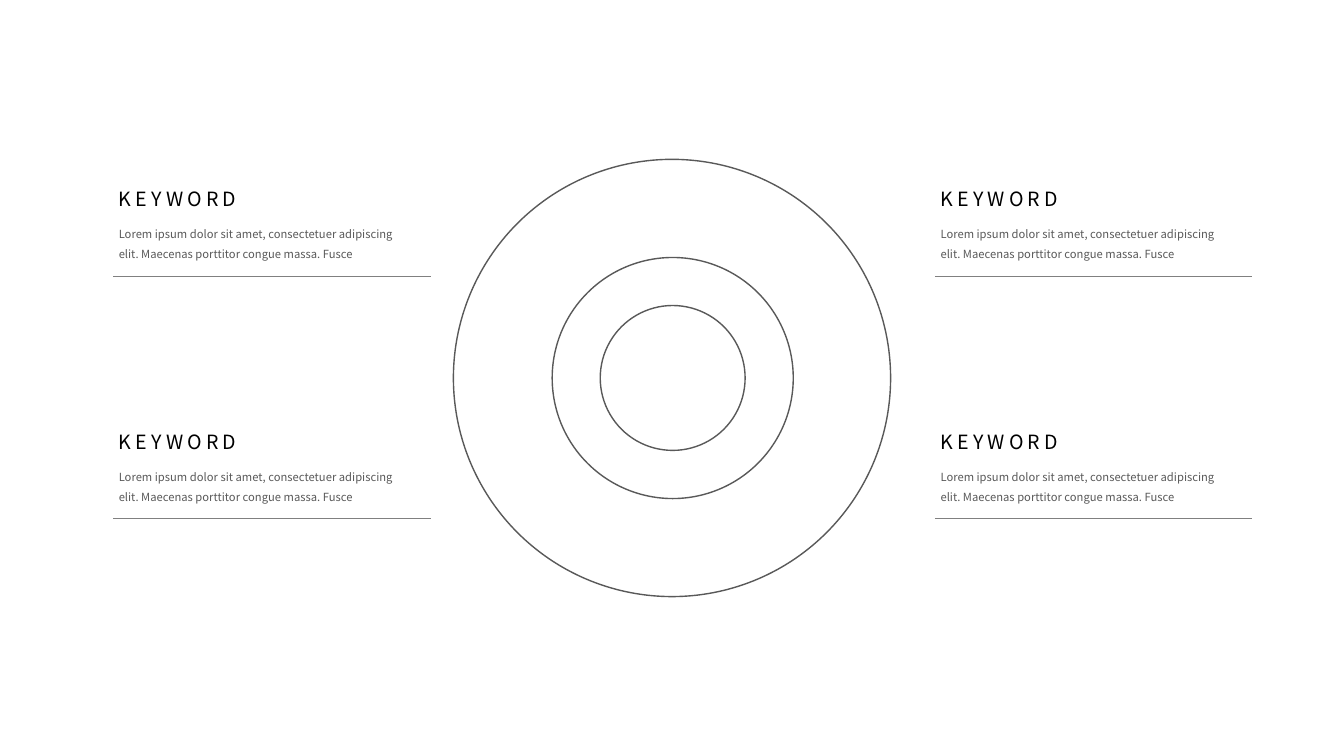
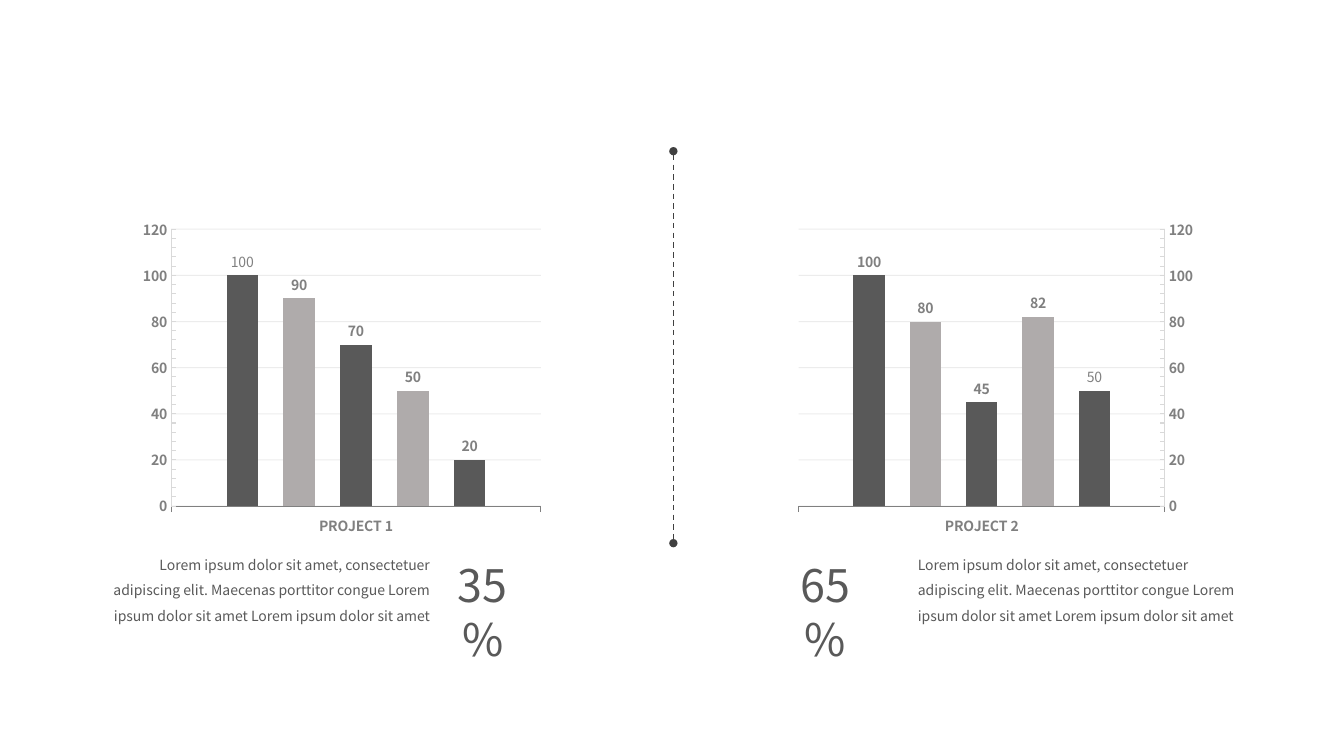
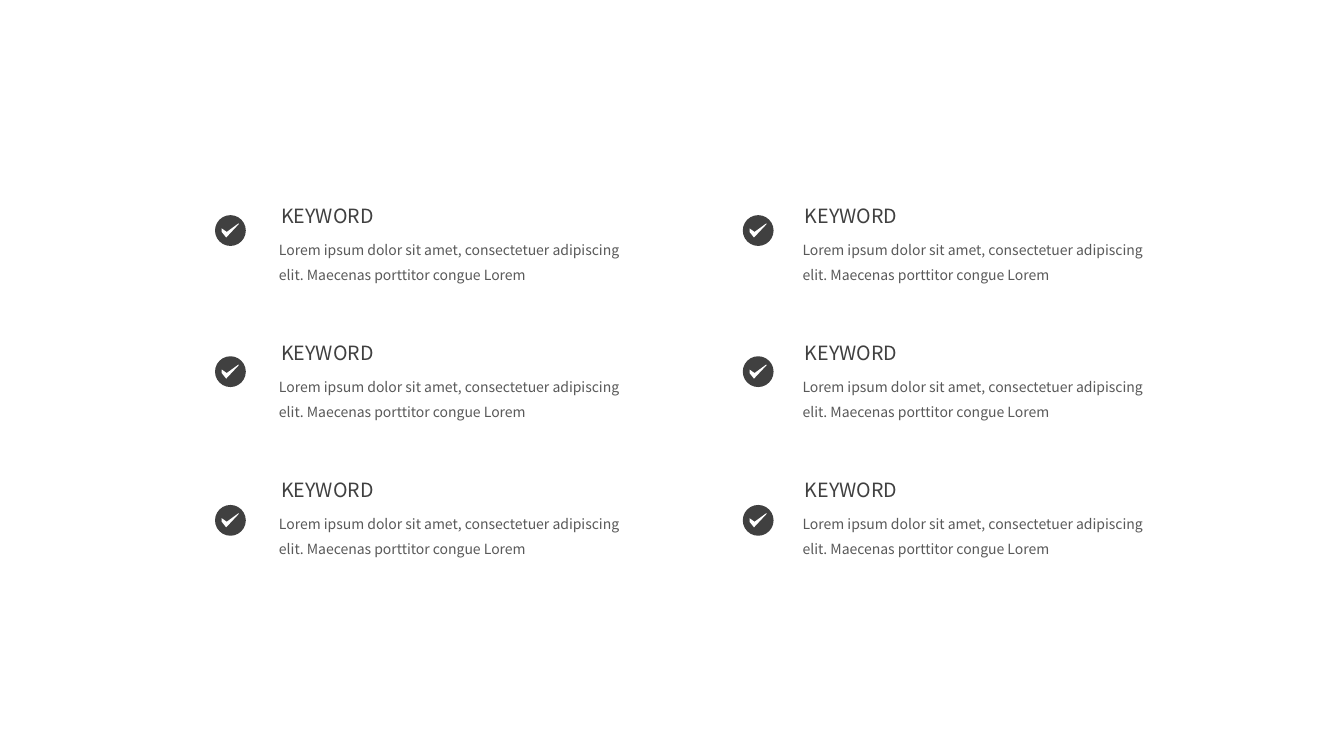
from itertools import product

from lxml.etree import SubElement
from pptx import Presentation
from pptx.chart.data import CategoryChartData
from pptx.dml.color import RGBColor
from pptx.enum.chart import XL_CHART_TYPE, XL_LABEL_POSITION, XL_TICK_MARK
from pptx.enum.dml import MSO_LINE
from pptx.enum.shapes import MSO_CONNECTOR, MSO_SHAPE
from pptx.enum.text import PP_ALIGN
from pptx.oxml import parse_xml
from pptx.oxml.ns import nsdecls, qn
from pptx.util import Pt

FONT = "Noto Sans CJK SC"
COLORS = {
    "black": "000000",
    "dark": "404040",
    "body": "595959",
    "gray": "808080",
    "light": "AFABAB",
    "grid": "D9D9D9",
    "white": "FFFFFF",
}
LOREM = "Lorem ipsum dolor sit amet, consectetuer adipiscing elit. Maecenas porttitor congue "
CHECK = [(4.8, 12), (8, 16), (17, 6.4), (16.8, 5.9), (8.4, 12), (4.8, 9.5)]


def rgb(name):
    return RGBColor.from_string(COLORS[name])


def add_text(slide, x, y, w, h, text, size, color="body", align=PP_ALIGN.LEFT,
             spacing=1.0, tracking=0, inset=None):
    sp = slide.shapes.add_textbox(Pt(x), Pt(y), Pt(w), Pt(h))
    tf = sp.text_frame
    tf.word_wrap = True
    if inset is not None:
        tf.margin_left = tf.margin_right = tf.margin_top = tf.margin_bottom = Pt(inset)
    p = tf.paragraphs[0]
    p.alignment = align
    p.line_spacing = spacing
    r = p.add_run()
    r.text = text
    r.font.name = FONT
    r.font.size = Pt(size)
    r.font.color.rgb = rgb(color)
    if tracking:
        r.font._element.set("spc", str(tracking * 100))


def add_line(slide, x1, y1, x2, y2, color, width, dotted_ends=False):
    sp = slide.shapes.add_connector(MSO_CONNECTOR.STRAIGHT, Pt(x1), Pt(y1), Pt(x2), Pt(y2))
    sp.line.color.rgb = rgb(color)
    sp.line.width = Pt(width)
    if dotted_ends:
        sp.line.dash_style = MSO_LINE.DASH
        ln = sp.line._get_or_add_ln()
        for end in ("a:headEnd", "a:tailEnd"):
            SubElement(ln, qn(end), type="oval")
    SubElement(sp.element.spPr, qn("a:effectLst"))


def add_ring(slide, cx, cy, diameter):
    left, top = cx - diameter / 2, cy - diameter / 2
    sp = slide.shapes.add_shape(MSO_SHAPE.OVAL, Pt(left), Pt(top), Pt(diameter), Pt(diameter))
    sp.shadow.inherit = False
    sp.fill.background()
    sp.line.color.rgb = rgb("body")
    sp.line.width = Pt(1)


def add_check(slide, x, y):
    shapes = slide.shapes.add_group_shape().shapes
    disc = shapes.add_shape(MSO_SHAPE.OVAL, Pt(x), Pt(y), Pt(22), Pt(22))
    points = [(Pt(x + dx), Pt(y + dy)) for dx, dy in CHECK]
    builder = shapes.build_freeform(*points[0])
    builder.add_line_segments(points[1:], close=True)
    tick = builder.convert_to_shape()
    for sp, color in ((disc, "dark"), (tick, "white")):
        sp.shadow.inherit = False
        sp.fill.solid()
        sp.fill.fore_color.rgb = rgb(color)
        sp.line.fill.background()


def set_plot_area(chart, x, y, w, h):
    area = chart._chartSpace.chart.plotArea
    for old in area.findall(qn("c:layout")):
        area.remove(old)
    parts = "".join(f'<c:{k} val="{v}"/>' for k, v in (
        ("layoutTarget", "inner"), ("xMode", "edge"), ("yMode", "edge"),
        ("x", x), ("y", y), ("w", w), ("h", h)))
    area.insert(0, parse_xml(
        f'<c:layout {nsdecls("c")}><c:manualLayout>{parts}</c:manualLayout></c:layout>'))


def style_axes(chart, mirrored):
    cat = chart.category_axis
    cat.major_tick_mark = XL_TICK_MARK.OUTSIDE
    cat.reverse_order = mirrored
    cat.format.line.color.rgb = rgb("gray")
    cat.format.line.width = Pt(0.75)
    val = chart.value_axis
    val.minimum_scale, val.maximum_scale, val.major_unit, val.minor_unit = 0, 120, 20, 4
    val.major_tick_mark = XL_TICK_MARK.NONE
    val.minor_tick_mark = XL_TICK_MARK.INSIDE
    val.has_major_gridlines = True
    for line in (val.format.line, val.major_gridlines.format.line):
        line.color.rgb = rgb("grid")
        line.width = Pt(0.75)
    grid_color = val._element.xpath("c:majorGridlines//a:srgbClr")[0]
    SubElement(grid_color, qn("a:alpha"), val="48000")


def label_plainly(point, value):
    label = point.data_label
    r = label.text_frame.paragraphs[0].add_run()
    r.text = str(value)
    r.font.size = Pt(10)
    r.font.bold = False
    r.font.color.rgb = rgb("gray")
    label.position = XL_LABEL_POSITION.OUTSIDE_END


def add_bar_chart(slide, x, w, category, values, plot_x, mirrored=False):
    data = CategoryChartData()
    data.categories = [category]
    for i, value in enumerate(values, 1):
        data.add_series(f"Series {i}", [value])
    chart = slide.shapes.add_chart(
        XL_CHART_TYPE.COLUMN_CLUSTERED, Pt(x), Pt(152), Pt(w), Pt(235.5), data).chart
    chart.has_title = False
    chart.has_legend = False
    chart.font.name = FONT
    chart.font.size = Pt(10)
    chart.font.bold = True
    chart.font.color.rgb = rgb("gray")
    style_axes(chart, mirrored)
    set_plot_area(chart, plot_x, 0.05, 0.88, 0.84)
    plot = chart.plots[0]
    plot.vary_by_categories = False
    plot.gap_width = 351
    plot.overlap = -80
    for i, series in enumerate(plot.series):
        series.format.fill.solid()
        series.format.fill.fore_color.rgb = rgb("light" if i % 2 else "body")
        labels = series.data_labels
        labels.show_value = True
        labels.position = XL_LABEL_POSITION.OUTSIDE_END
    label_plainly(plot.series[0].points[0], values[0])


def add_underlined_keyword(slide, x, y):
    add_line(slide, x + 3, y + 67.2, x + 229.8, y + 67.2, "gray", 0.5)
    add_text(slide, x, y, 136, 24.5, "KEYWORD", 14, "black", tracking=3)
    add_text(slide, x, y + 24, 214.5, 36, LOREM + "massa. Fusce", 8, spacing=1.5)


def add_checked_keyword(slide, x, y, check_x, check_y):
    add_check(slide, check_x, check_y)
    add_text(slide, x, y + 20.9, 260.6, 44, LOREM + "Lorem", 10, spacing=1.5)
    add_text(slide, x, y, 83.5, 24.5, "KEYWORD", 14, "dark", PP_ALIGN.CENTER)


def add_project(slide, text_x, align, share_x, share):
    add_text(slide, share_x, 398.2, 40, 76, share, 32, align=PP_ALIGN.CENTER, inset=0)
    text = LOREM + "Lorem ipsum dolor sit amet Lorem ipsum dolor sit amet"
    add_text(slide, text_x, 388.1, 242, 62, text, 10, align=align, spacing=1.5)


def build_rings(slide):
    for cx, diameter in ((480.5, 103.5), (480.5, 172.2), (480, 312.3)):
        add_ring(slide, cx, 270, diameter)
    for col, row in product(range(2), range(2)):
        add_underlined_keyword(slide, 77.75 + 587 * col, 130 + 173.3 * row)


def build_projects(slide):
    add_bar_chart(slide, 92.2, 300.2, "PROJECT 1", [100, 90, 70, 50, 20], 0.1)
    add_bar_chart(slide, 564.5, 297.4, "PROJECT 2", [50, 82, 45, 80, 100], 0.02, mirrored=True)
    add_line(slide, 481, 108, 481, 388, "dark", 1, dotted_ends=True)
    add_project(slide, 72, PP_ALIGN.RIGHT, 324.8, "35%")
    add_project(slide, 648.5, PP_ALIGN.LEFT, 569.3, "65%")


def build_checklist(slide):
    for col, (row, check_y) in product(range(2), enumerate((153.7, 254.5, 360.7))):
        add_checked_keyword(slide, 192.2 + 374 * col, 141.8 + 98 * row,
                            153.6 + 377 * col, check_y)


def main():
    prs = Presentation()
    prs.slide_width, prs.slide_height = Pt(960), Pt(540)
    for build in (build_rings, build_projects, build_checklist):
        build(prs.slides.add_slide(prs.slide_layouts[6]))
    prs.save("out.pptx")


if __name__ == "__main__":
    main()
